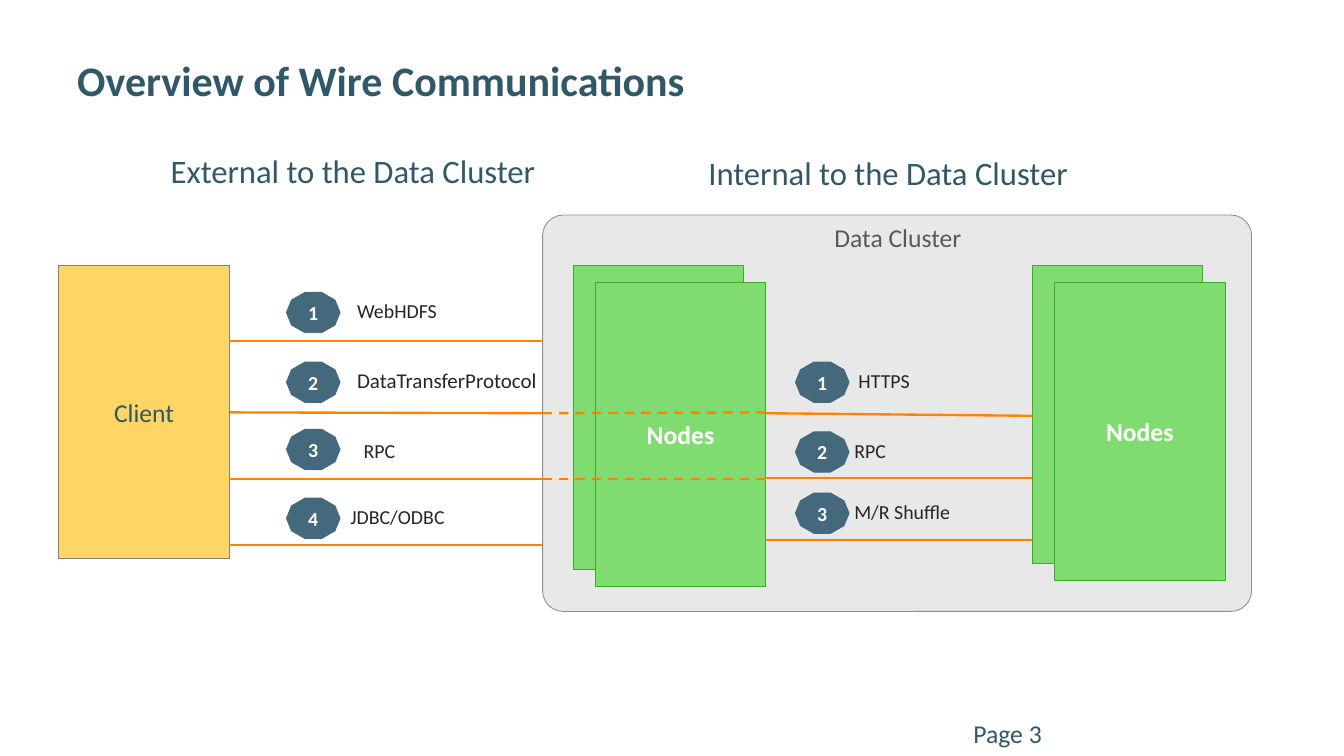
from pptx import Presentation
from pptx.dml.color import RGBColor
from pptx.enum.dml import MSO_LINE
from pptx.enum.shapes import MSO_CONNECTOR, MSO_SHAPE as SHAPE
from pptx.enum.text import MSO_ANCHOR as ANCHOR, PP_ALIGN as ALIGN
from pptx.oxml.ns import qn
from pptx.util import Pt
from lxml.etree import SubElement

TEAL, SLATE, ORANGE = "305868", "44697D", "FF8300"
GREEN, DARK_GREEN = "80DC70", "3AAC25"
WHITE, INK = "FFFFFF", "262626"

CLIENT_RIGHT, CLUSTER_LEFT = 196.6, 465.1
NODES_RIGHT, FAR_NODES_LEFT = 656.4, 884.9
BOX_TOP, BOX_WIDTH = 227.5, 146.2

# Number, protocol, badge top, label left, label top, label width, size, line start y, line end y
EXTERNAL = [
    ("1", "WebHDFS", 250.6, 297.4, 252, 112.3, 17, 292.3, 292.3),
    ("2", "DataTransferProtocol", 310.3, 297.4, 311, 172.1, 18, 353.5, 354.2),
    ("3", "RPC", 367.9, 303.1, 371.5, 112.3, 17, 410.4, 410.4),
    ("4", "JDBC/ODBC", 427, 291.6, 428.4, 112.3, 17, 467.3, 467.3),
]
INTERNAL = [
    ("1", "HTTPS", 310.3, 727.2, 311.8, 88.6, 17, 354.2, 356.4),
    ("2", "RPC", 370.1, 723.6, 371.5, 88.6, 17, 409.7, 409.7),
    ("3", "M/R Shuffle", 422.6, 723.6, 424.1, 141.1, 17, 463, 463),
]


def color(value):
    return RGBColor.from_string(value)


def set_text(shape, text, size, ink, bold=False, align=ALIGN.CENTER,
             anchor=ANCHOR.MIDDLE, margins=(8.64, 4.32), spacing=None):
    frame = shape.text_frame
    frame.text = text
    frame.word_wrap = True
    frame.vertical_anchor = anchor
    frame.margin_left = frame.margin_right = Pt(margins[0])
    frame.margin_top = frame.margin_bottom = Pt(margins[1])
    paragraph = frame.paragraphs[0]
    paragraph.alignment = align
    if spacing:
        paragraph.line_spacing = spacing
    font = paragraph.runs[0].font
    font.name, font.size, font.bold = "Calibri", Pt(size), bold
    font.color.rgb = color(ink)


def add_box(slide, kind, left, top, width, height, fill, outline):
    shape = slide.shapes.add_shape(kind, Pt(left), Pt(top), Pt(width), Pt(height))
    shape.shadow.inherit = False
    shape.fill.solid()
    shape.fill.fore_color.rgb = color(fill)
    shape.line.color.rgb = color(outline)
    shape.line.width = Pt(0.75)
    return shape


def add_label(slide, text, left, top, width, height, size, ink, **style):
    box = slide.shapes.add_textbox(Pt(left), Pt(top), Pt(width), Pt(height))
    set_text(box, text, size, ink, **style)


def add_heading(slide, text, left, top, width, height, size, **style):
    add_label(slide, text, left, top, width, height, size, TEAL,
              margins=(0, 0), spacing=0.85, **style)


def add_wire(slide, left, start_y, right, end_y, dashed=False):
    wire = slide.shapes.add_connector(
        MSO_CONNECTOR.STRAIGHT, Pt(left), Pt(start_y), Pt(right), Pt(end_y))
    wire.line.color.rgb = color(ORANGE)
    wire.line.width = Pt(2)
    if dashed:
        wire.line.dash_style = MSO_LINE.DASH
    SubElement(wire._element.spPr, qn("a:effectLst"))


def add_nodes(slide, left, height):
    add_box(slide, SHAPE.RECTANGLE, left, BOX_TOP, BOX_WIDTH, height, GREEN, DARK_GREEN)
    front = add_box(slide, SHAPE.RECTANGLE, left + 19, BOX_TOP + 14.4,
                    BOX_WIDTH, height, GREEN, DARK_GREEN)
    set_text(front, "Nodes", 22, WHITE, bold=True)


def add_protocols(slide, protocols, badge_left, wire_left, wire_right):
    for (number, name, badge_top, label_left, label_top, label_width,
         size, start_y, end_y) in protocols:
        add_wire(slide, wire_left, start_y, wire_right, end_y)
        add_label(slide, name, label_left, label_top, label_width, 35.3, size, INK,
                  align=ALIGN.LEFT, anchor=ANCHOR.TOP)
        badge = add_box(slide, SHAPE.DECAGON, badge_left, badge_top, 46, 34.6, SLATE, SLATE)
        set_text(badge, number, 17, WHITE, bold=True)


def main():
    presentation = Presentation()
    presentation.slide_width, presentation.slide_height = Pt(1152), Pt(648)
    slide = presentation.slides.add_slide(presentation.slide_layouts[6])

    # Cluster background
    cluster = add_box(slide, SHAPE.ROUNDED_RECTANGLE, CLUSTER_LEFT, 184.3,
                      607.7, 339.8, "E8E8E8", "8E8E8E")
    cluster.adjustments[0] = 0.052
    add_label(slide, "Data Cluster", 655.9, 185.8, 227.5, 41.8, 22, "595959",
              anchor=ANCHOR.TOP)

    # Headings and page number
    add_heading(slide, "Overview of Wire Communications", 66.2, 53.3, 1036.8, 37.4, 36,
                bold=True, align=ALIGN.LEFT)
    add_heading(slide, "External to the Data Cluster", 142.6, 134.6, 319.7, 28.8, 28)
    add_heading(slide, "Internal to the Data Cluster", 603.4, 136.1, 315.4, 28.8, 28)
    add_label(slide, "Page 3", 825.8, 611.3, 268.6, 34.6, 22, TEAL,
              align=ALIGN.LEFT, anchor=ANCHOR.TOP)

    # Client and nodes
    client = add_box(slide, SHAPE.RECTANGLE, 50.4, BOX_TOP, BOX_WIDTH, 251.3,
                     "FFD664", "7F7F7F")
    set_text(client, "Client", 22, TEAL)
    add_nodes(slide, 491.2, 260.6)
    add_nodes(slide, FAR_NODES_LEFT, 255.6)

    # Wires with numbered protocols
    add_protocols(slide, EXTERNAL, 245.5, CLIENT_RIGHT, CLUSTER_LEFT)
    add_protocols(slide, INTERNAL, 681.8, NODES_RIGHT, FAR_NODES_LEFT)

    # Wires passing through the near nodes
    for start_y, end_y in [(354.2, 353.5), (410.4, 410.4)]:
        add_wire(slide, CLUSTER_LEFT, start_y, NODES_RIGHT, end_y, dashed=True)

    presentation.save("out.pptx")


if __name__ == "__main__":
    main()
